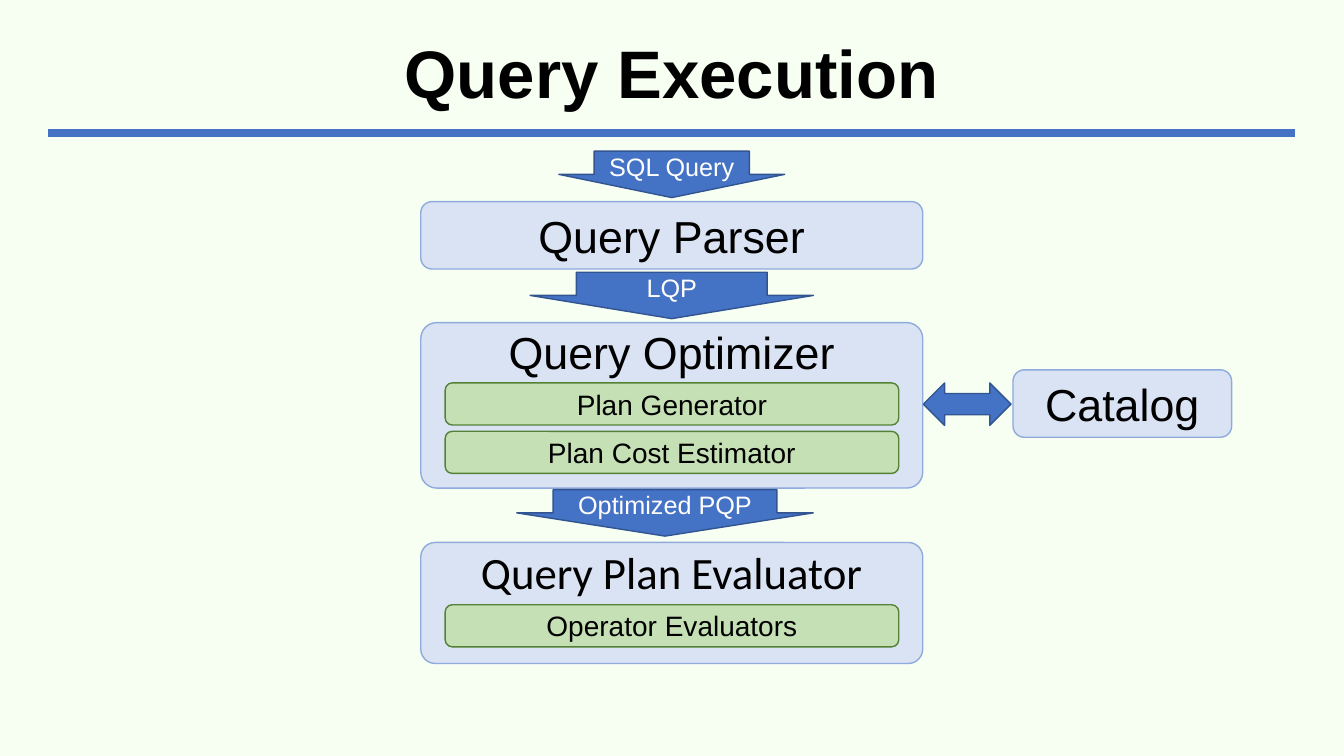
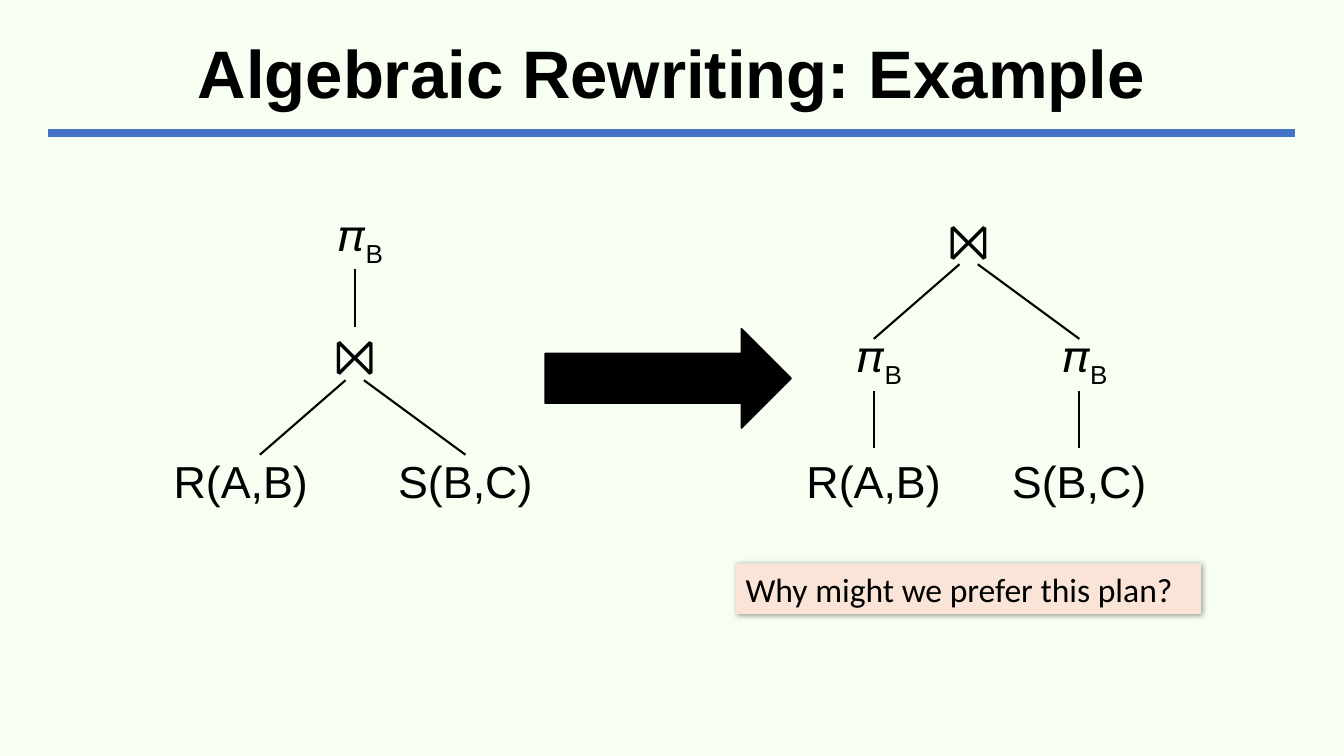
from dataclasses import dataclass

from lxml.etree import SubElement as Sub
from pptx import Presentation
from pptx.dml.color import RGBColor as Rgb
from pptx.enum.shapes import MSO_CONNECTOR as Conn, MSO_SHAPE as Geo
from pptx.enum.text import MSO_ANCHOR as Anchor, MSO_AUTO_SIZE as Fit, PP_ALIGN as Align
from pptx.oxml.ns import qn
from pptx.util import Cm, Pt


@dataclass(frozen=True)
class Theme:
    """Hold the colours, fonts and type sizes of the deck."""

    page: str = "F7FFF3"
    ink: str = "000000"
    white: str = "FFFFFF"
    blue: str = "4472C4"
    navy: str = "325491"
    pale: str = "DAE3F3"
    edge: str = "8FAADC"
    green: str = "C5E0B4"
    leaf: str = "548235"
    peach: str = "FAE4D7"
    sans: str = "Arial"
    body: str = "Calibri"
    title: int = 48
    join: int = 36
    head: int = 32
    note: int = 24
    step: int = 20
    flow: int = 18


T = Theme()
MID = 16.93
WIDE = 12.65


def write(shape, text, sub="", size=T.head, font=T.sans, color=T.ink, bold=False,
          align=Align.CENTER, anchor=Anchor.MIDDLE, wrap=True, lead=None):
    """Write one formatted line with an optional subscript."""
    frame = shape.text_frame
    frame.word_wrap = wrap
    frame.vertical_anchor = anchor
    para = frame.paragraphs[0]
    para.alignment = align
    if lead:
        para.line_spacing = lead
    for piece in filter(None, (text, sub)):
        run = para.add_run()
        run.text = piece
        run.font.name = font
        run.font.size = Pt(size)
        run.font.bold = bold
        run.font.color.rgb = Rgb.from_string(color)
    if sub:
        run._r.get_or_add_rPr().set("baseline", "-25000")


def block(shapes, geo, x, y, w, h, fill=None, edge=None, adj=()):
    """Add a preset shape with plain fill and edge."""
    shape = shapes.add_shape(geo, Cm(x), Cm(y), Cm(w), Cm(h))
    shape.shadow.inherit = False
    if fill:
        shape.fill.solid()
        shape.fill.fore_color.rgb = Rgb.from_string(fill)
    else:
        shape.fill.background()
    if edge:
        shape.line.color.rgb = Rgb.from_string(edge)
        shape.line.width = Pt(1)
    else:
        shape.line.fill.background()
    for i, value in enumerate(adj):
        shape.adjustments[i] = value
    return shape


def rule(shapes, x1, y1, x2, y2, color=T.ink, width=1.5):
    """Draw a straight line without shadow."""
    line = shapes.add_connector(Conn.STRAIGHT, Cm(x1), Cm(y1), Cm(x2), Cm(y2))
    line.line.color.rgb = Rgb.from_string(color)
    line.line.width = Pt(width)
    Sub(line._element.spPr, qn("a:effectLst"))


def page(deck, title):
    """Add a slide with its title and the band below."""
    shapes = deck.slides.add_slide(deck.slide_layouts[6]).shapes
    rule(shapes, 1.22, 3.35, 32.64, 3.35, T.blue, 6)
    box = shapes.add_textbox(Cm(1.22), Cm(0.61), Cm(31.42), Cm(2.64))
    write(box, title, size=T.title, bold=True, lead=0.9)
    return shapes


def card(shapes, text, x, y, w):
    """Add a one-line stage box."""
    box = block(shapes, Geo.ROUNDED_RECTANGLE, x, y, w, 1.7, T.pale, T.edge)
    write(box, text)


def panel(shapes, text, y, h, adj, first, steps, font=T.sans):
    """Add a stage box with a heading and stacked steps."""
    geo = Geo.ROUNDED_RECTANGLE
    block(shapes, geo, MID - WIDE / 2, y, WIDE, h, T.pale, T.edge, [adj])
    write(block(shapes, geo, MID - 5.37, y - 0.06, 10.74, 1.6), text, font=font)
    for i, name in enumerate(steps):
        top = first + i * 1.22
        box = block(shapes, geo, MID - 5.71, top, 11.43, 1.06, T.green, T.leaf)
        write(box, name, size=T.step)


def flow(shapes, text, y, w, adj, mid=MID):
    """Add a labelled down arrow."""
    box = block(shapes, Geo.DOWN_ARROW, mid - w / 2, y, w, 1.17, T.blue, T.navy, [adj, 0.5])
    write(box, text, size=T.flow, color=T.white)


def node(shapes, text, x, y, w=4.78, h=0.9, **form):
    """Add a tree label centred on a point."""
    box = block(shapes, Geo.OVAL, x - w / 2, y - h / 2, w, h)
    write(box, text, wrap=False, **form)


def pick(shapes, x, y):
    """Add a projection with the stem below it."""
    node(shapes, " 𝜋", x, y, sub="B")
    rule(shapes, x, y + 0.8, x, y + 2.25)


def join(shapes, x, y):
    """Add a join with its two branches."""
    node(shapes, "⨝", x, y, h=1.22, size=T.join, font=T.body)
    for near, far in ((-0.23, -2.39), (0.23, 2.79)):
        rule(shapes, x + near, y + 0.64, x + far, y + 2.52)


def leaves(shapes, left, right):
    """Add the two relations at the foot of a tree."""
    node(shapes, "R(A,B)", left, 12.1, w=5.28)
    node(shapes, "S(B,C)", right, 12.1, w=4.22)


def note(shapes, text):
    """Add the question box with a soft shadow."""
    box = block(shapes, Geo.RECTANGLE, 18.54, 14.2, 11.73, 1.27, T.peach)
    write(box, text, size=T.note, font=T.body, align=Align.LEFT, anchor=Anchor.TOP)
    box.text_frame.auto_size = Fit.SHAPE_TO_FIT_TEXT
    glow = Sub(box._element.spPr.find(qn("a:effectLst")), qn("a:outerShdw"),
               blurRad=str(int(Pt(4))), dist=str(int(Pt(1))), dir="2700000",
               algn="tl", rotWithShape="0")
    tint = Sub(glow, qn("a:srgbClr"), val=T.ink)
    Sub(tint, qn("a:alpha"), val="40000")


def stages(deck):
    """Build the query execution slide."""
    shapes = page(deck, "Query Execution")
    card(shapes, "Query Parser", MID - WIDE / 2, 5.08, WIDE)
    panel(shapes, "Query Optimizer", 8.13, 4.17, 0.096, 9.65,
          ["Plan Generator", "Plan Cost Estimator"])
    panel(shapes, "Query Plan Evaluator", 13.67, 3.05, 0.119, 15.24,
          ["Operator Evaluators"], font=T.body)
    flow(shapes, "SQL Query", 3.81, 5.69, 0.688)
    flow(shapes, "LQP", 6.86, 7.14, 0.673)
    flow(shapes, "Optimized PQP", 12.34, 7.47, 0.755, mid=16.76)
    card(shapes, "Catalog", 25.53, 9.32, 5.51)
    block(shapes, Geo.LEFT_RIGHT_ARROW, 23.27, 9.65, 2.21, 1.07, T.blue, T.navy)


def trees(deck):
    """Build the algebraic rewriting slide."""
    shapes = page(deck, "Algebraic Rewriting: Example")
    old = shapes.add_group_shape().shapes
    pick(old, 8.94, 5.99)
    join(old, 8.94, 8.94)
    leaves(old, 6.07, 11.73)
    new = shapes.add_group_shape().shapes
    join(new, 24.41, 6.02)
    for x in (22.02, 27.2):
        pick(new, x, 9.04)
    leaves(new, 22.02, 27.2)
    block(shapes, Geo.RIGHT_ARROW, 13.74, 8.28, 6.2, 2.51, T.ink, T.ink)
    note(shapes, "Why might we prefer this plan?")


def main():
    """Build and save the deck."""
    deck = Presentation()
    deck.slide_width, deck.slide_height = Cm(33.87), Cm(19.05)
    fill = deck.slide_master.background.fill
    fill.solid()
    fill.fore_color.rgb = Rgb.from_string(T.page)
    stages(deck)
    trees(deck)
    deck.save("out.pptx")


if __name__ == "__main__":
    main()
